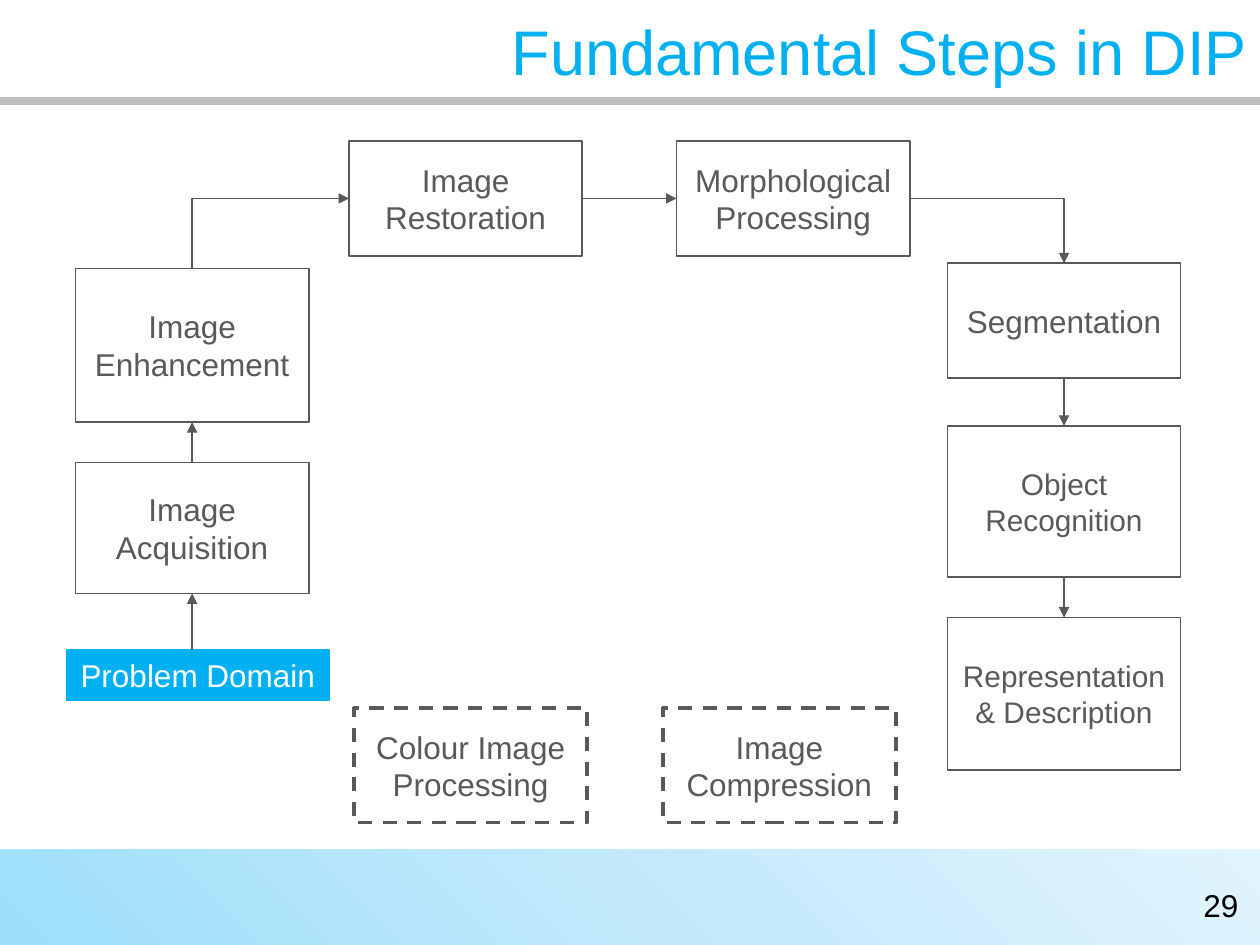
from copy import deepcopy

from lxml.etree import SubElement
from pptx import Presentation
from pptx.dml.color import RGBColor
from pptx.enum.dml import MSO_LINE_DASH_STYLE as Dash
from pptx.enum.shapes import MSO_CONNECTOR as Connector, MSO_SHAPE as Shape
from pptx.enum.text import MSO_ANCHOR as Anchor, PP_ALIGN as Align
from pptx.oxml.ns import qn
from pptx.util import Inches, Pt

# Content
TITLE = "Fundamental Steps in DIP"
PAGE_NUMBER = "29"
FOOTER_COLOURS = ["9BDFFB", "C2E9FB", "E1F4FD"]
GREY, BLUE, WHITE = "595959", "00B0F0", "FFFFFF"
FONT = "Arial"

STEP_WIDTH, STEP_HEIGHT = 1.85, 0.91
LEFT_COLUMN, RIGHT_COLUMN = 0.6, 7.52
TOP_ROW, BOTTOM_ROW = 1.12, 5.62

# Step: left, top, height, text size
STEPS = {
    "Image Acquisition": (LEFT_COLUMN, 3.67, 1.04, 18),
    "Image Enhancement": (LEFT_COLUMN, 2.13, 1.22, 18),
    "Image Restoration": (2.77, TOP_ROW, STEP_HEIGHT, 18),
    "Morphological Processing": (5.37, TOP_ROW, STEP_HEIGHT, 18),
    "Segmentation": (RIGHT_COLUMN, 2.09, STEP_HEIGHT, 18),
    "Object Recognition": (RIGHT_COLUMN, 3.38, 1.2, 17),
    "Representation & Description": (RIGHT_COLUMN, 4.9, 1.21, 17),
}
SUPPORTING_STEPS = {
    "Colour Image Processing": (2.81, BOTTOM_ROW, STEP_HEIGHT, 18),
    "Image Compression": (5.26, BOTTOM_ROW, STEP_HEIGHT, 18),
}
PROBLEM = "Problem Domain"

# Connection sites of a rectangle
TOP, LEFT, BOTTOM, RIGHT = range(4)
STRAIGHT_FLOWS = [
    ("Image Acquisition", TOP, "Image Enhancement", BOTTOM),
    ("Image Restoration", RIGHT, "Morphological Processing", LEFT),
    ("Segmentation", BOTTOM, "Object Recognition", TOP),
    ("Object Recognition", BOTTOM, "Representation & Description", TOP),
]
# Corners run sideways first, so the arrowhead may sit at either end
CORNER_FLOWS = [
    ("Image Restoration", LEFT, "Image Enhancement", TOP, "headEnd"),
    ("Morphological Processing", RIGHT, "Segmentation", TOP, "tailEnd"),
]


def colour(value):
    return RGBColor.from_string(value)


def write(frame, text, size, text_colour, align=Align.CENTER):
    frame.text = text
    frame.vertical_anchor = Anchor.MIDDLE
    paragraph = frame.paragraphs[0]
    paragraph.alignment = align
    font = paragraph.runs[0].font
    font.name, font.size = FONT, Pt(size)
    font.color.rgb = colour(text_colour)


def add_box(text, left, top, width, height, size, fill=WHITE, line=GREY,
            text_colour=GREY, line_width=1):
    box = slide.shapes.add_shape(
        Shape.RECTANGLE, Inches(left), Inches(top), Inches(width), Inches(height))
    box.shadow.inherit = False
    box.fill.solid()
    box.fill.fore_color.rgb = colour(fill)
    box.line.color.rgb = colour(line)
    box.line.width = Pt(line_width)
    write(box.text_frame, text, size, text_colour)
    return box


def add_line(kind=Connector.STRAIGHT, start=(0, 0), end=(0, 0), line=GREY,
             width=1, arrow=None):
    connector = slide.shapes.add_connector(
        kind, *[Inches(value) for value in (*start, *end)])
    connector.line.color.rgb = colour(line)
    connector.line.width = Pt(width)
    properties = connector._element.spPr
    if arrow:
        SubElement(properties.find(qn("a:ln")), qn(f"a:{arrow}"), type="triangle")
    SubElement(properties, qn("a:effectLst"))
    return connector


def join(connector, source, source_site, target, target_site):
    connector.begin_connect(boxes[source], source_site)
    connector.end_connect(boxes[target], target_site)


deck = Presentation()
deck.slide_width, deck.slide_height = Inches(10), Inches(7.5)
slide = deck.slides.add_slide(deck.slide_layouts[5])

# Footer band with the page number
footer = slide.shapes.add_shape(
    Shape.RECTANGLE, 0, Inches(6.74), Inches(10), Inches(0.84))
footer.shadow.inherit = False
footer.line.fill.background()
footer.fill.gradient()
footer.fill.gradient_angle = 45
first_stop = footer._element.spPr.find(".//" + qn("a:gs"))
first_stop.addnext(deepcopy(first_stop))
for index, (stop, value) in enumerate(zip(footer.fill.gradient_stops, FOOTER_COLOURS)):
    stop.position = index / 2
    stop.color.rgb = colour(value)

page_number = slide.shapes.add_textbox(
    Inches(9.37), Inches(6.98), Inches(0.64), Inches(0.4))
page_number.text_frame.word_wrap = True
write(page_number.text_frame, PAGE_NUMBER, 18, "000000")

# Title and its rule
add_line(start=(0, 0.8), end=(10, 0.8), line="BFBFBF", width=4.5)
title = slide.shapes.title
title.left, title.top, title.width, title.height = 0, 0, Inches(10), Inches(0.8)
write(title.text_frame, TITLE, 36, BLUE, Align.RIGHT)

# Steps
boxes = {
    name: add_box(name, left, top, STEP_WIDTH, height, size)
    for name, (left, top, height, size) in STEPS.items()
}
problem = add_box(PROBLEM, 0.53, 5.16, 2.08, 0.4, 18, BLUE, BLUE, WHITE)
problem.text_frame.word_wrap = False

for name, (left, top, height, size) in SUPPORTING_STEPS.items():
    supporting = add_box(name, left, top, STEP_WIDTH, height, size, line_width=2)
    supporting.line.dash_style = Dash.DASH

# Arrows; the first rises straight under the centre of its target
first_arrow = add_line(start=(LEFT_COLUMN + STEP_WIDTH / 2, 5.16), arrow="tailEnd")
first_arrow.end_connect(boxes["Image Acquisition"], BOTTOM)

for flow in STRAIGHT_FLOWS:
    join(add_line(arrow="tailEnd"), *flow)

for *flow, arrow in CORNER_FLOWS:
    corner = add_line(Connector.ELBOW, arrow=arrow)
    corner._element.spPr.find(qn("a:prstGeom")).set("prst", "bentConnector2")
    join(corner, *flow)

deck.save("out.pptx")
